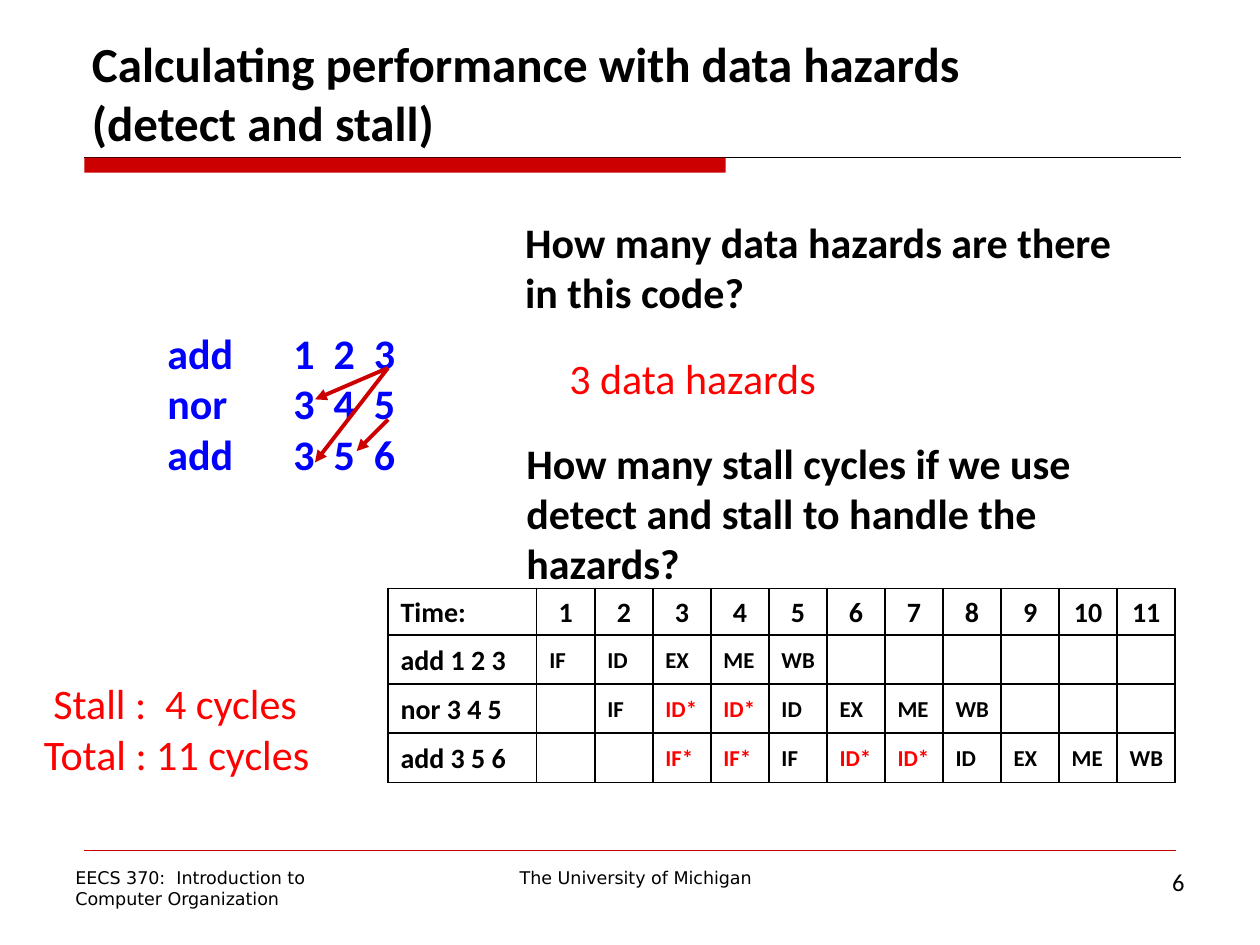
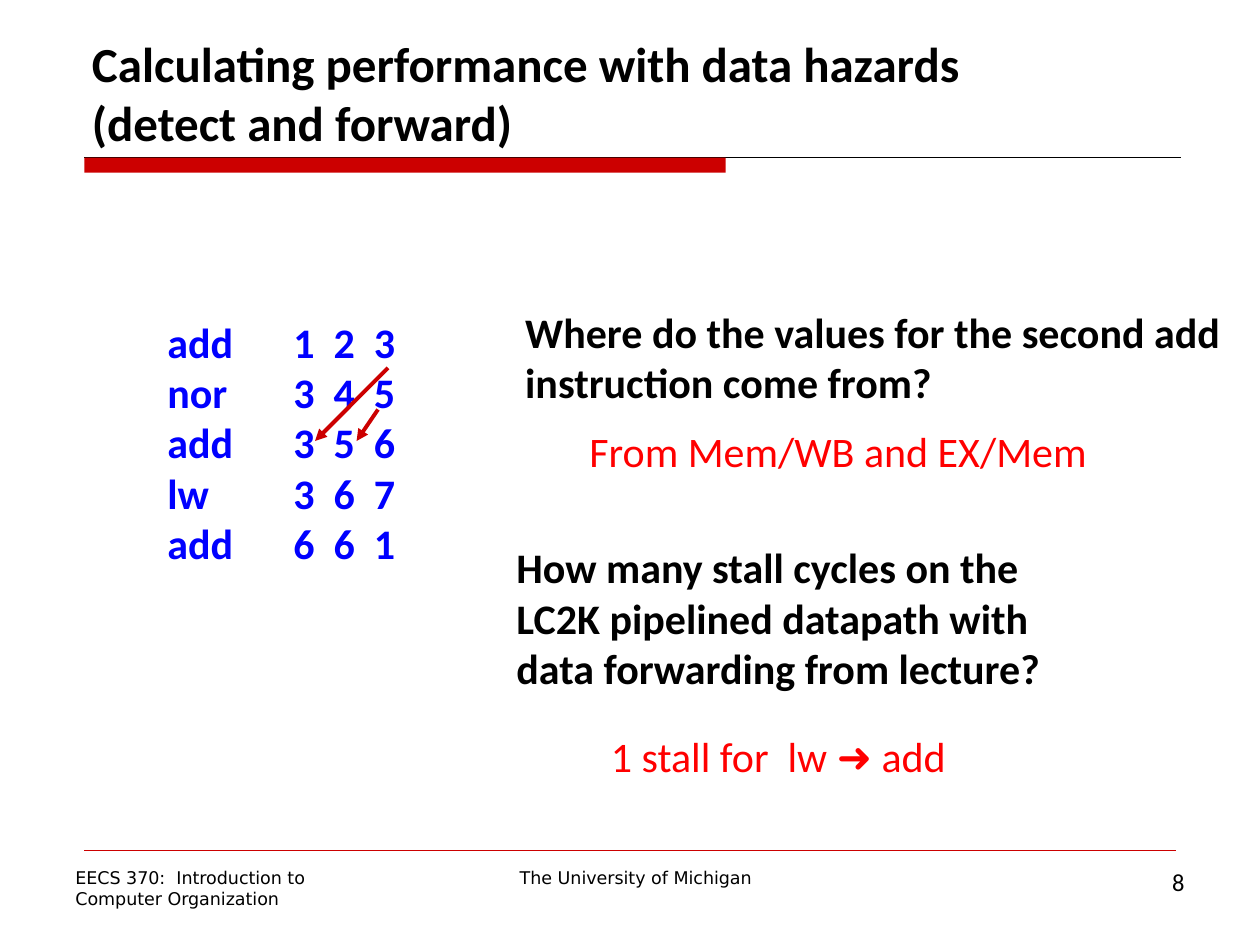
from lxml import etree
from pptx import Presentation
from pptx.dml.color import RGBColor
from pptx.enum.shapes import MSO_CONNECTOR as Connector, MSO_SHAPE as Shape
from pptx.enum.text import MSO_ANCHOR as Anchor, MSO_AUTO_SIZE as AutoSize, PP_ALIGN as Align
from pptx.oxml.ns import qn
from pptx.util import Inches, Pt

TITLE_ONLY = 5
BODY_FONT = "Calibri"
FOOTER_FONT = "DejaVu Sans"
BLACK, RED, CRIMSON, BLUE = "000000", "FF0000", "CC0000", "0000FF"

TIMELINE = [
    ["Time:"] + [str(cycle) for cycle in range(1, 12)],
    ["add 1 2 3", "IF", "ID", "EX", "ME", "WB"] + [""] * 6,
    ["nor 3 4 5", "", "IF", "ID*", "ID*", "ID", "EX", "ME", "WB"] + [""] * 3,
    ["add 3 5 6", "", "", "IF*", "IF*", "IF", "ID*", "ID*", "ID", "EX", "ME", "WB"],
]


def color(value):
    return RGBColor.from_string(value)


class SlideWriter:
    def __init__(self, deck):
        self.deck = deck
        self.slide = None

    def start(self, title, number):
        self.slide = self.deck.slides.add_slide(self.deck.slide_layouts[TITLE_ONLY])
        self.band()
        self.line((0.67, 6.75), (9.33, 6.75), CRIMSON, 0.25)
        self.footer("The University of Michigan", 3.17, 3.75, Align.CENTER)
        self.footer("EECS 370:  Introduction to\nComputer Organization", 0.5, 2.75)
        self.footer(number, 7.17, 2.33, Align.RIGHT, 14, BODY_FONT)
        self.title(title)

    def title(self, text):
        box = self.slide.shapes.title
        box.left, box.top = Inches(0.63), Inches(0.22)
        box.width, box.height = Inches(8.75), Inches(1.03)
        frame = box.text_frame
        frame.text = text
        frame.word_wrap = True
        frame.auto_size = AutoSize.NONE
        frame.vertical_anchor = Anchor.BOTTOM
        self.format(frame, 28, bold=True)

    def band(self):
        self.line((0.67, 1.25), (9.37, 1.25), BLACK, 0.75)
        bar = self.slide.shapes.add_shape(
            Shape.RECTANGLE, Inches(0.67), Inches(1.25), Inches(5.09), Inches(0.12))
        bar.shadow.inherit = False
        bar.fill.solid()
        bar.fill.fore_color.rgb = color(CRIMSON)
        bar.line.fill.background()

    def footer(self, text, left, width, align=Align.LEFT, size=10, font=FOOTER_FONT):
        box = self.slide.shapes.add_textbox(
            Inches(left), Inches(6.83), Inches(width), Inches(0.44))
        box.text_frame.word_wrap = True
        box.text_frame.text = text
        self.format(box.text_frame, size, font=font, align=align)

    def text(self, text, left, top, width, ink=BLACK, bold=True):
        height = 0.1 + 0.4 * (text.count("\n") + 1)
        box = self.slide.shapes.add_textbox(
            Inches(left), Inches(top), Inches(width), Inches(height))
        frame = box.text_frame
        frame.word_wrap = False
        frame.auto_size = AutoSize.SHAPE_TO_FIT_TEXT
        frame.text = text
        self.format(frame, 24, ink, bold)
        return frame

    def code(self, text, top):
        frame = self.text(text, 1.23, top, 2.05, BLUE)
        for para in frame.paragraphs:
            stops = etree.SubElement(para._p.get_or_add_pPr(), qn("a:tabLst"))
            etree.SubElement(stops, qn("a:tab"), pos=str(Inches(1)), algn="l")

    def answer(self, text, left, top, width):
        self.text(text, left, top, width, RED, bold=False)

    def line(self, start, end, ink, weight):
        points = [Inches(value) for value in (*start, *end)]
        line = self.slide.shapes.add_connector(Connector.STRAIGHT, *points)
        line.line.color.rgb = color(ink)
        line.line.width = Pt(weight)
        etree.SubElement(line._element.spPr, qn("a:effectLst"))
        return line

    def arrow(self, start, end):
        arrow = self.line(start, end, CRIMSON, 2.25)
        etree.SubElement(arrow.line._get_or_add_ln(), qn("a:tailEnd"), type="triangle")

    def table(self, rows, left, top, width, label_width, heights):
        count = len(rows[0])
        table = self.slide.shapes.add_table(
            len(rows), count, Inches(left), Inches(top),
            Inches(width), Inches(sum(heights))).table
        table.first_row = table.horz_banding = False
        for index, column in enumerate(table.columns):
            column.width = Inches((width - label_width) / (count - 1) if index else label_width)
        for row_index, (values, height) in enumerate(zip(rows, heights)):
            table.rows[row_index].height = Inches(height)
            for column_index, value in enumerate(values):
                self.cell(table.cell(row_index, column_index), value,
                          header=row_index == 0, label=column_index == 0)

    def cell(self, cell, value, header, label):
        size = 16 if header or label else 13
        stalled = value.endswith("*")
        cell.text = value
        cell.margin_top, cell.margin_bottom = Inches(0.06), Inches(0.05)
        cell.margin_left = Inches(0.1)
        cell.margin_right = Inches(0.1 if header or label else 0.02)
        cell.vertical_anchor = Anchor.TOP if header else Anchor.MIDDLE
        align = Align.CENTER if header and not label else Align.LEFT
        self.format(cell.text_frame, size, RED if stalled else BLACK, True, align=align)
        para = cell.text_frame.paragraphs[0]
        if not value:
            para._p.get_or_add_endParaRPr().set("sz", str(size * 100))
        elif not stalled:
            para.line_spacing = 0.97
            para.space_before = Pt(size / 4)
        properties = cell._tc.get_or_add_tcPr()
        for side in ("lnL", "lnR", "lnT", "lnB"):
            border = etree.SubElement(properties, qn(f"a:{side}"), w=str(Pt(1)))
            fill = etree.SubElement(border, qn("a:solidFill"))
            etree.SubElement(fill, qn("a:srgbClr"), val=BLACK)
        cell.fill.background()

    def format(self, frame, size, ink=BLACK, bold=False, font=BODY_FONT, align=Align.LEFT):
        for para in frame.paragraphs:
            para.alignment = align
            for span in para.runs:
                span.font.name = font
                span.font.size = Pt(size)
                span.font.bold = bold
                span.font.color.rgb = color(ink)


def stall_slide(writer):
    writer.start("Calculating performance with data hazards \v(detect and stall)", "6")
    writer.code("add\t1  2  3\nnor\t3  4  5\nadd\t3  5  6", 2.55)
    writer.text("How many data hazards are there\nin this code?", 4.07, 1.67, 5.04)
    writer.text("How many stall cycles if we use\ndetect and stall to handle the\nhazards?",
                4.08, 3.42, 4.64)
    writer.answer("3 data hazards", 4.42, 2.75, 2.18)
    writer.arrow((3.08, 2.92), (2.5, 3.17))
    writer.arrow((3.08, 2.92), (2.5, 3.67))
    writer.arrow((3.08, 3.33), (2.83, 3.58))
    writer.answer(" Stall :  4 cycles\nTotal : 11 cycles", 0.25, 5.33, 2.4)
    writer.table(TIMELINE, 3.08, 4.67, 6.25, 1.18, [0.37] + [0.39] * 3)


def forward_slide(writer):
    writer.start("Calculating performance with data hazards \v(detect and forward)", "8")
    writer.code("add\t1  2  3\nnor\t3  4  5\nadd\t3  5  6\nlw\t3  6  7\nadd\t6  6  1", 2.46)
    writer.text("Where do the values for the second add\ninstruction come from?",
                4.07, 2.38, 5.89)
    writer.text("How many stall cycles on the\nLC2K pipelined datapath with\n"
                "data forwarding from lecture?", 4, 4.25, 4.39)
    writer.answer("From Mem/WB and EX/Mem", 4.58, 3.33, 4.27)
    writer.answer("1 stall for  lw ➜ add", 4.75, 5.75, 2.99)
    writer.arrow((3.08, 2.92), (2.5, 3.5))
    writer.arrow((3, 3.25), (2.83, 3.5))


def main():
    deck = Presentation()
    deck.slide_width, deck.slide_height = Inches(10), Inches(7.5)
    writer = SlideWriter(deck)
    stall_slide(writer)
    forward_slide(writer)
    deck.save("out.pptx")


if __name__ == "__main__":
    main()
